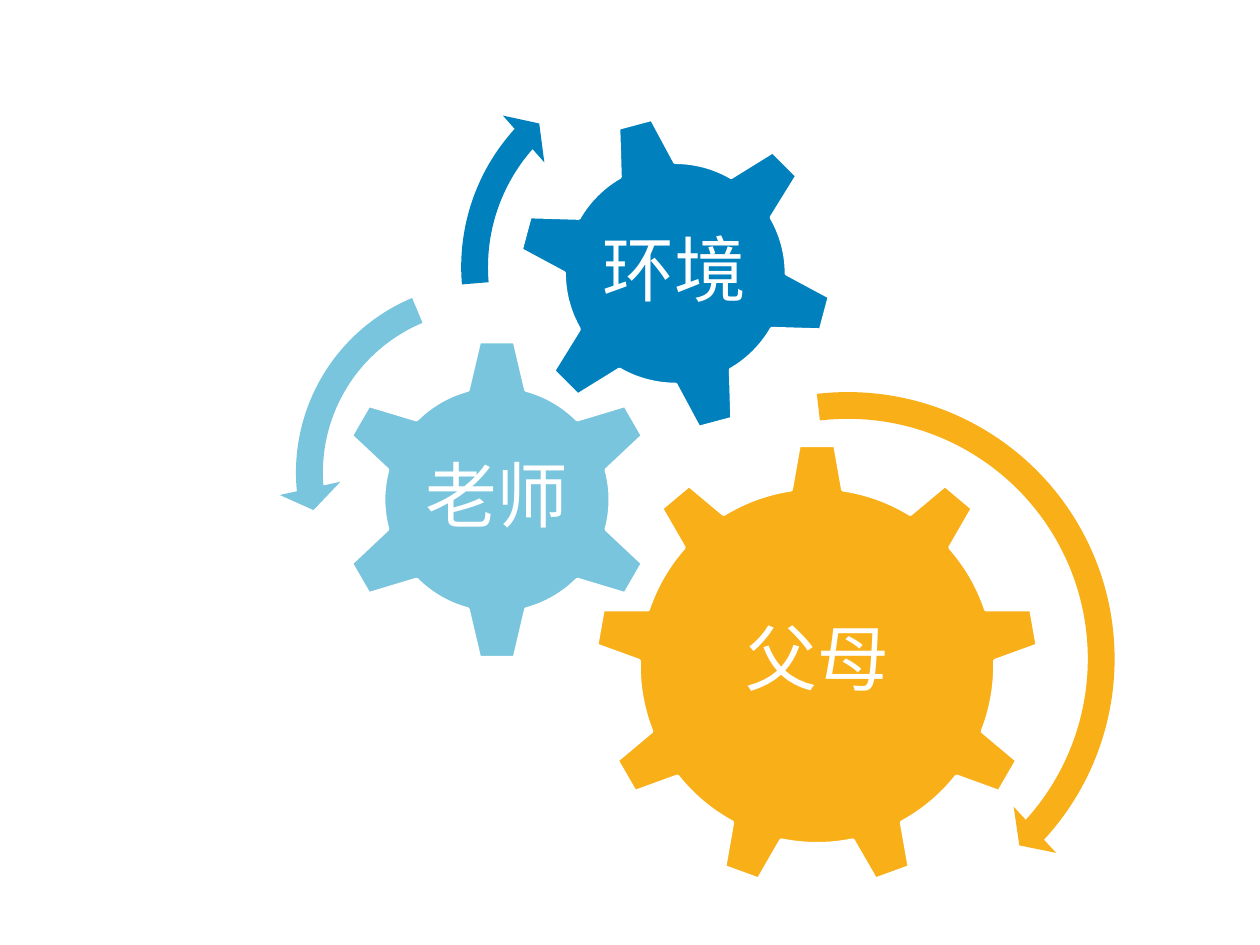
from pptx import Presentation
from pptx.dml.color import RGBColor
from pptx.enum import shapes, text
from pptx.util import Pt

KIND = shapes.MSO_SHAPE
GOLD, SKY, BLUE, WHITE = "F9AF18", "78C5DD", "0081BE", "FFFFFF"


def paint(fill, color):
    fill.solid()
    fill.fore_color.rgb = RGBColor.from_string(color)


def draw(kind, left, top, size, color):
    shape = slide.shapes.add_shape(kind, Pt(left), Pt(top), Pt(size), Pt(size))
    shape.shadow.inherit = False
    paint(shape.fill, color)
    return shape


deck = Presentation()
deck.slide_width, deck.slide_height = Pt(720), Pt(540)
slide = deck.slides.add_slide(deck.slide_layouts[6])

# Gears: kind, left, top, size, turn, colour, label, label box
gears = [
    (KIND.GEAR_9, 339.8, 253.4, 254.2, 0, GOLD, "父母", (391, 313.2, 151.9, 130.3)),
    (KIND.GEAR_6, 191.5, 193, 185, 0, SKY, "老师", (238.3, 239.8, 91.4, 91.4)),
    (KIND.GEAR_6, 295.2, 65.5, 181.4, 345, BLUE, "环境", (334.8, 105.1, 101.5, 101.5)),
]
for kind, left, top, size, turn, color, label, box in gears:
    gear = draw(kind, left, top, size, color)
    gear.rotation = turn
    paint(gear.line.fill, WHITE)
    gear.line.width = Pt(2)

    frame = slide.shapes.add_textbox(*map(Pt, box)).text_frame
    frame.word_wrap = True
    frame.vertical_anchor = text.MSO_ANCHOR.MIDDLE
    frame.margin_left = frame.margin_right = Pt(4.3)
    frame.margin_top = frame.margin_bottom = Pt(4.3)
    para = frame.paragraphs[0]
    para.alignment = text.PP_ALIGN.CENTER
    para.line_spacing = 0.9
    run = para.add_run()
    run.text = label
    run.font.name = "Calibri"
    run.font.size = Pt(41)
    paint(run.font.fill, WHITE)

# Curved arrows: kind, left, top, size, colour, adjustments
# The middle three adjustments are angles, in units of 5/3 degree
arrows = [
    (KIND.CIRCULAR_ARROW, 321.8, 213.8, 325.4, GOLD,
     (0.047, 2.99, 25.456, 157.993, 0.055)),
    (KIND.LEFT_CIRCULAR_ARROW, 159.1, 151.9, 236.2, SKY,
     (0.065, 4.3, 104.891, 148.378, 0.075)),
    (KIND.CIRCULAR_ARROW, 253.4, 25.2, 254.9, BLUE,
     (0.06, 3.941, 133.138, 105.082, 0.07)),
]
for kind, left, top, size, color, bends in arrows:
    arrow = draw(kind, left, top, size, color)
    arrow.line.fill.background()
    for i, bend in enumerate(bends):
        arrow.adjustments[i] = bend

deck.save("out.pptx")
